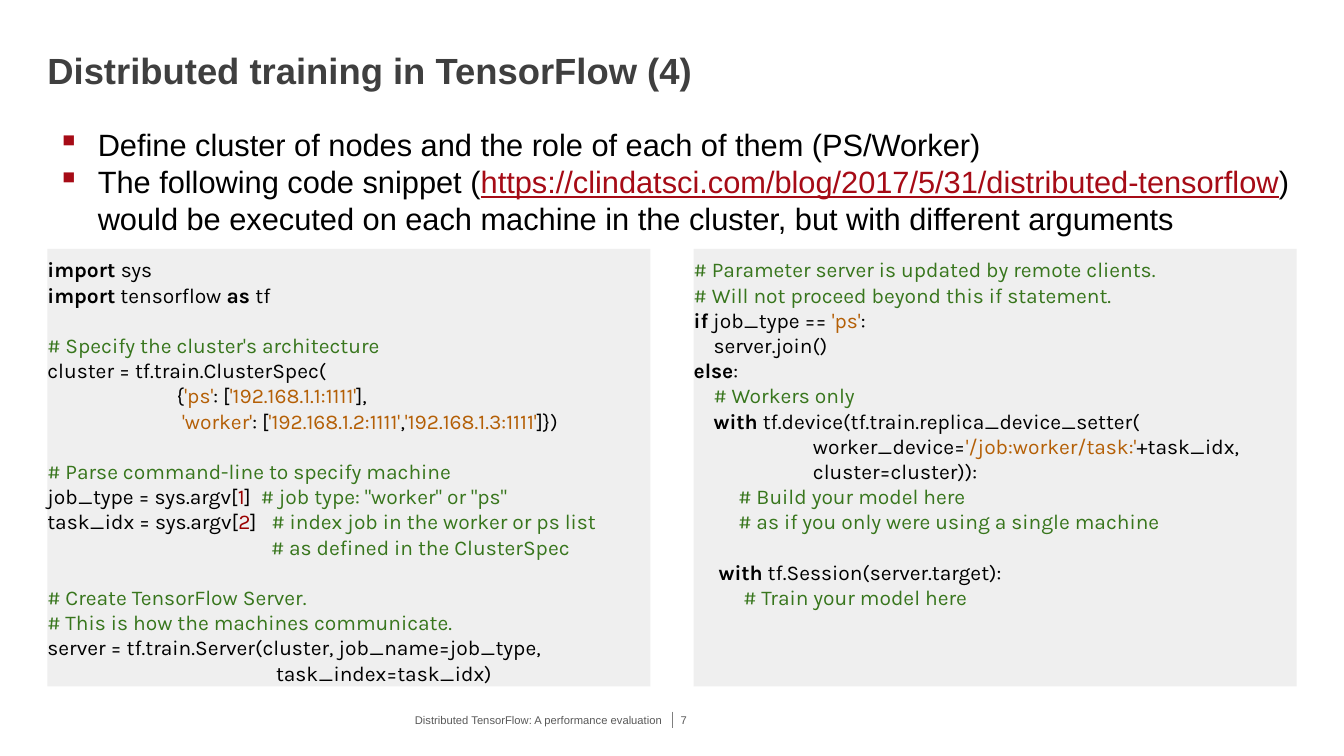
from dataclasses import dataclass

from lxml.etree import SubElement
from pptx import Presentation
from pptx.dml.color import RGBColor
from pptx.enum.shapes import MSO_CONNECTOR, MSO_SHAPE
from pptx.enum.text import MSO_ANCHOR, PP_ALIGN
from pptx.oxml.ns import qn
from pptx.shapes.autoshape import Shape
from pptx.slide import Slide
from pptx.text.text import Font
from pptx.util import Inches, Pt

BLACK = RGBColor(0x00, 0x00, 0x00)
TITLE_GRAY = RGBColor(0x3F, 0x3F, 0x3F)
FOOTER_GRAY = RGBColor(0x59, 0x59, 0x59)
RULE_GRAY = RGBColor(0x7F, 0x7F, 0x7F)
PANEL_GRAY = RGBColor(0xEF, 0xEF, 0xEF)
RED = RGBColor(0xA6, 0x0B, 0x16)
COMMENT_GREEN = RGBColor(0x38, 0x76, 0x1D)
STRING_ORANGE = RGBColor(0xB4, 0x5F, 0x06)
NUMBER_RED = RGBColor(0x99, 0x00, 0x00)

MARGIN = 0.47
CONTENT_WIDTH = 12.39
PANEL_TOP, PANEL_WIDTH, PANEL_HEIGHT = 2.47, 5.98, 4.34
FOOTER_TOP, FOOTER_HEIGHT, FOOTER_SPLIT = 7.06, 0.16, 6.67
CODE_LINE = Pt(18)


@dataclass(frozen=True)
class Span:
    text: str
    color: RGBColor = BLACK
    bold: bool = False
    underline: bool = False


@dataclass(frozen=True)
class Line:
    spans: tuple[Span, ...]
    gap_before: bool = False


@dataclass(frozen=True)
class Box:
    left: float
    top: float
    width: float
    height: float
    insets: tuple[float, float, float, float]
    anchor: MSO_ANCHOR = MSO_ANCHOR.TOP


@dataclass(frozen=True)
class Style:
    font: str
    size: int
    align: PP_ALIGN = PP_ALIGN.LEFT
    bullet: str = ""


def line(*spans: Span | str, gap_before: bool = False) -> Line:
    return Line(tuple(Span(s) if isinstance(s, str) else s for s in spans), gap_before)


def comment(text: str) -> Span:
    return Span(text, COMMENT_GREEN)


def string(text: str) -> Span:
    return Span(text, STRING_ORANGE)


def number(text: str) -> Span:
    return Span(text, NUMBER_RED)


def keyword(text: str) -> Span:
    return Span(text, bold=True)


CLUSTER_CODE = [
    line(keyword("import "), "sys"),
    line(keyword("import"), " tensorflow ", keyword("as "), "tf"),
    line(comment("# Specify the cluster's architecture"), gap_before=True),
    line("cluster = tf.train.ClusterSpec("),
    line("                          {", string("'ps'"), ": [", string("'192.168.1.1:1111'"), "],"),
    line("                           ", string("'worker'"), ": [", string("'192.168.1.2:1111'"),
         ",", string("'192.168.1.3:1111'"), "]})"),
    line(comment("# Parse command-line to specify machine"), gap_before=True),
    line("job_type = sys.argv[", number("1"), "]  ", comment('# job type: "worker" or "ps"')),
    line("task_idx = sys.argv[", number("2"), "]   ",
         comment("# index job in the worker or ps list")),
    line(comment("                                             # as defined in the ClusterSpec")),
    line(comment("# Create TensorFlow Server."), gap_before=True),
    line(comment("# This is how the machines communicate.")),
    line("server = tf.train.Server(cluster, job_name=job_type,"),
    line("                                              task_index=task_idx)"),
]

ROLE_CODE = [
    line(comment("# Parameter server is updated by remote clients.")),
    line(comment("# Will not proceed beyond this if statement.")),
    line(keyword("if"), " job_type == ", string("'ps'"), ":"),
    line("    server.join()"),
    line(keyword("else"), ":"),
    line(comment("    # Workers only")),
    line("    ", keyword("with"), " tf.device(tf.train.replica_device_setter("),
    line("                        worker_device=", string("'/job:worker/task:'"), "+task_idx,"),
    line("                        cluster=cluster)):"),
    line(comment("         # Build your model here")),
    line(comment("         # as if you only were using a single machine")),
    line("     ", keyword("with"), " tf.Session(server.target):", gap_before=True),
    line(comment("          # Train your model here")),
]

BULLETS = [
    line("Define cluster of nodes and the role of each of them (PS/Worker)"),
    line("The following code snippet (",
         Span("https://clindatsci.com/blog/2017/5/31/distributed-tensorflow", RED, underline=True),
         ") would be executed on each machine in the cluster, but with different arguments"),
]


def apply_span(font: Font, span: Span) -> None:
    font.color.rgb = span.color
    font.bold = span.bold
    font.underline = span.underline


def fill_text(shape: Shape, box: Box, style: Style, lines: list[Line]) -> None:
    frame = shape.text_frame
    frame.word_wrap = True
    frame.vertical_anchor = box.anchor
    (frame.margin_left, frame.margin_top,
     frame.margin_right, frame.margin_bottom) = map(Inches, box.insets)
    for index, text_line in enumerate(lines):
        paragraph = frame.paragraphs[0] if index == 0 else frame.add_paragraph()
        paragraph.alignment = style.align
        if text_line.gap_before:
            paragraph.space_before = CODE_LINE
        if style.bullet:
            properties = paragraph._p.get_or_add_pPr()
            properties.set("marL", str(Inches(0.5)))
            properties.set("indent", str(Inches(-0.4)))
            bullet_color = SubElement(properties, qn("a:buClr"))
            SubElement(bullet_color, qn("a:srgbClr")).set("val", str(RED))
            SubElement(properties, qn("a:buChar")).set("char", style.bullet)
        paragraph.font.name = style.font
        paragraph.font.size = Pt(style.size)
        for span in text_line.spans:
            run = paragraph.add_run()
            run.text = span.text
            if len(text_line.spans) > 1:
                apply_span(run.font, span)
        if len(text_line.spans) == 1:
            apply_span(paragraph.font, text_line.spans[0])


def add_text(slide: Slide, box: Box, style: Style, lines: list[Line]) -> None:
    shape = slide.shapes.add_textbox(*map(Inches, (box.left, box.top, box.width, box.height)))
    fill_text(shape, box, style, lines)


def add_code_panel(slide: Slide, left: float, lines: list[Line]) -> None:
    box = Box(left, PANEL_TOP, PANEL_WIDTH, PANEL_HEIGHT, (0, 0.08, 0, 0.05))
    panel = slide.shapes.add_shape(
        MSO_SHAPE.RECTANGLE, *map(Inches, (box.left, box.top, box.width, box.height)))
    panel.shadow.inherit = False
    panel.fill.solid()
    panel.fill.fore_color.rgb = PANEL_GRAY
    panel.line.fill.background()
    fill_text(panel, box, Style("Karla", 15), lines)


def add_footer(slide: Slide) -> None:
    divider = slide.shapes.add_connector(
        MSO_CONNECTOR.STRAIGHT, Inches(FOOTER_SPLIT), Inches(FOOTER_TOP),
        Inches(FOOTER_SPLIT), Inches(FOOTER_TOP + FOOTER_HEIGHT))
    divider.line.color.rgb = RULE_GRAY
    divider.line.width = Pt(0.75)
    SubElement(divider._element.spPr, qn("a:effectLst"))
    add_text(slide, Box(2.15, FOOTER_TOP, 4.5, FOOTER_HEIGHT, (0, 0, 0.08, 0), MSO_ANCHOR.MIDDLE),
             Style("Arial", 8, PP_ALIGN.RIGHT),
             [line(Span("Distributed TensorFlow: A performance evaluation", FOOTER_GRAY))])
    add_text(slide, Box(FOOTER_SPLIT, FOOTER_TOP, 0.42, FOOTER_HEIGHT, (0.08, 0, 0, 0),
                        MSO_ANCHOR.MIDDLE),
             Style("Arial", 8), [line(Span("7", FOOTER_GRAY))])


def main() -> None:
    deck = Presentation()
    deck.slide_width, deck.slide_height = Inches(13.33), Inches(7.5)
    slide = deck.slides.add_slide(deck.slide_layouts[6])
    add_footer(slide)
    add_text(slide, Box(MARGIN, 0.05, CONTENT_WIDTH, 0.94, (0, 0, 0, 0.08), MSO_ANCHOR.BOTTOM),
             Style("Arial", 26),
             [line(Span("Distributed training in TensorFlow (4)", TITLE_GRAY, bold=True))])
    add_code_panel(slide, MARGIN + CONTENT_WIDTH - PANEL_WIDTH, ROLE_CODE)
    add_code_panel(slide, MARGIN, CLUSTER_CODE)
    add_text(slide, Box(MARGIN, 1.19, CONTENT_WIDTH, 1.83, (0, 0.06, 0, 0.05)),
             Style("Arial", 22, bullet="▪"), BULLETS)
    deck.save("out.pptx")


if __name__ == "__main__":
    main()
